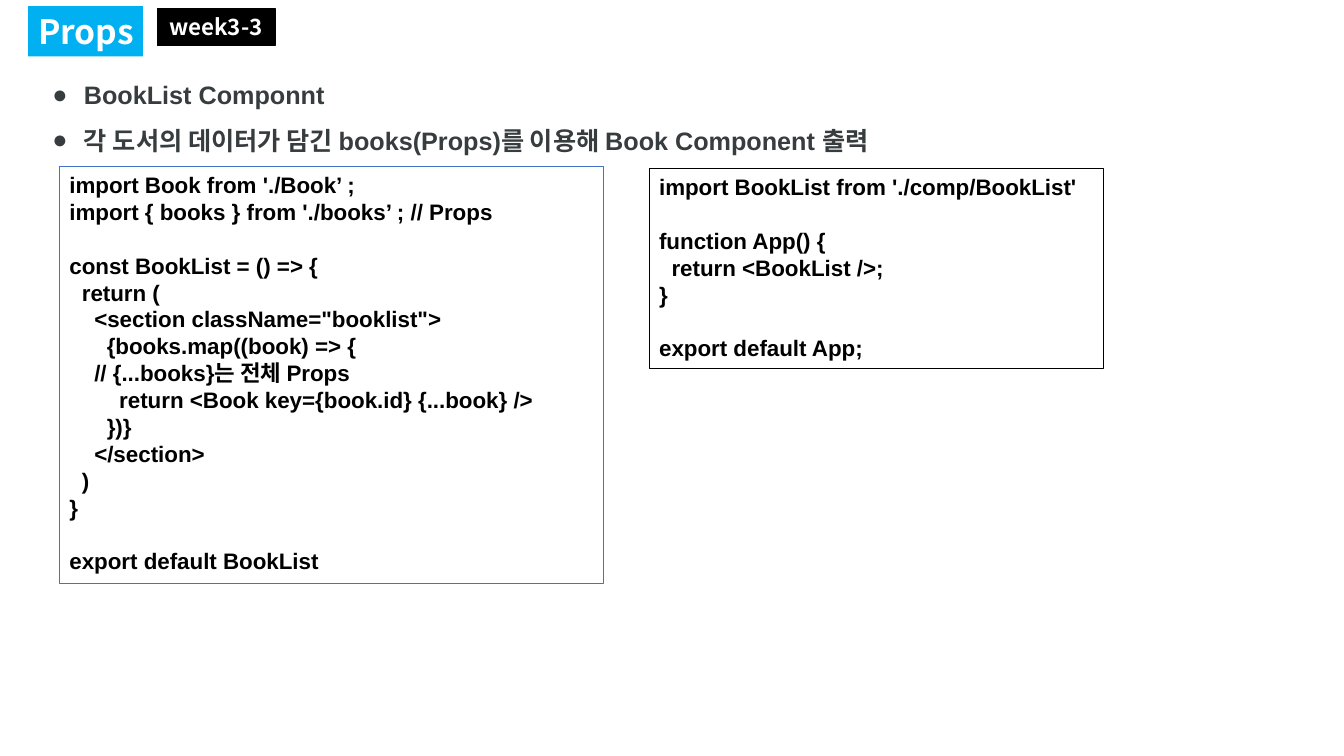
"""Build the Props slide with two code boxes for the BookList component."""
from lxml import etree
from pptx import Presentation
from pptx import util as u
from pptx.dml import color
from pptx.enum import shapes, text
from pptx.oxml import ns

BOOK_LIST_CODE = """import Book from './Book’ ;
import { books } from './books’ ; // Props

const BookList = () => {
  return (
    <section className="booklist">
      {books.map((book) => {
    // {...books}는 전체 Props
        return <Book key={book.id} {...book} />
      })}
    </section>
  )
}

export default BookList"""

APP_CODE = """import BookList from './comp/BookList'

function App() {
  return <BookList />;
}

export default App;"""

BULLETS = [
    "BookList Componnt",
    "각 도서의 데이터가 담긴 books(Props)를 이용해 Book Component 출력",
]
SPACE_WIDTH = 4.45
CODE_LINE = 19.2


def rgb(value):
    return color.RGBColor.from_string(value)


def style(paragraph, size, font_name, font_color):
    for run in paragraph.runs:
        run.font.size = u.Pt(size)
        run.font.name = font_name
        run.font.bold = True
        run.font.color.rgb = rgb(font_color)


presentation = Presentation()
presentation.slide_width = u.Pt(960)
presentation.slide_height = u.Pt(540)
slide = presentation.slides.add_slide(presentation.slide_layouts[1])

title = slide.shapes.title
title.left, title.top, title.width, title.height = map(u.Pt, (20.16, 4.3, 82, 36))
title.fill.solid()
title.fill.fore_color.rgb = rgb("00B0F0")
title.text_frame.text = "Props"
title.text_frame.auto_size = text.MSO_AUTO_SIZE.NONE
title.text_frame.vertical_anchor = text.MSO_ANCHOR.MIDDLE
title.text_frame.margin_right = 0
title.text_frame.paragraphs[0].alignment = text.PP_ALIGN.LEFT
style(title.text_frame.paragraphs[0], 24, "Noto Sans CJK KR", "FFFFFF")

body = slide.placeholders[1]
body.left, body.top, body.width, body.height = map(u.Pt, (30.24, 42.5, 656, 68.4))
body.text_frame.text = "\n".join(BULLETS)
body.text_frame.auto_size = text.MSO_AUTO_SIZE.NONE
for paragraph in body.text_frame.paragraphs:
    paragraph.line_spacing = 1.5
    paragraph.space_before = u.Pt(0)
    style(paragraph, 18, "Arial", "373D3F")
    properties = paragraph._p.get_or_add_pPr()
    properties.set("marL", str(u.Pt(22.5)))
    properties.set("indent", str(u.Pt(-22.5)))
    etree.SubElement(properties, ns.qn("a:buChar")).set("char", "●")

code_boxes = [
    (BOOK_LIST_CODE, (42.5, 118.8, 388.8, 298), "4472C4"),
    (APP_CODE, (463.7, 120.2, 324.7, 143.3), "000000"),
]
for code, bounds, line_color in code_boxes:
    box = slide.shapes.add_shape(shapes.MSO_SHAPE.RECTANGLE, *map(u.Pt, bounds))
    box.shadow.inherit = False
    box.fill.background()
    box.line.color.rgb = rgb(line_color)
    box.line.width = u.Pt(0.75)
    frame = box.text_frame
    frame.word_wrap = True
    frame.vertical_anchor = text.MSO_ANCHOR.TOP
    lines = code.split("\n")
    frame.text = "\n".join(line.strip() for line in lines if line)
    paragraphs = iter(frame.paragraphs)
    gap = 0
    for line in lines:
        if not line:
            gap = CODE_LINE
            continue
        paragraph = next(paragraphs)
        paragraph.alignment = text.PP_ALIGN.LEFT
        paragraph.space_before = u.Pt(gap)
        spaces = len(line) - len(line.lstrip())
        paragraph._p.get_or_add_pPr().set("marL", str(u.Pt(spaces * SPACE_WIDTH)))
        style(paragraph, 16, "Arial", "000000")
        gap = 0

week = slide.shapes.add_shape(
    shapes.MSO_SHAPE.RECTANGLE, *map(u.Pt, (112.3, 5.8, 84.2, 26.6)))
week.shadow.inherit = False
week.fill.solid()
week.fill.fore_color.rgb = rgb("000000")
week.line.color.rgb = rgb("000000")
week.line.width = u.Pt(0.75)
week.text_frame.text = "week3-3"
week.text_frame.vertical_anchor = text.MSO_ANCHOR.MIDDLE
week.text_frame.paragraphs[0].alignment = text.PP_ALIGN.CENTER
style(week.text_frame.paragraphs[0], 16, "Noto Sans CJK KR", "FFFFFF")

presentation.save("out.pptx")
